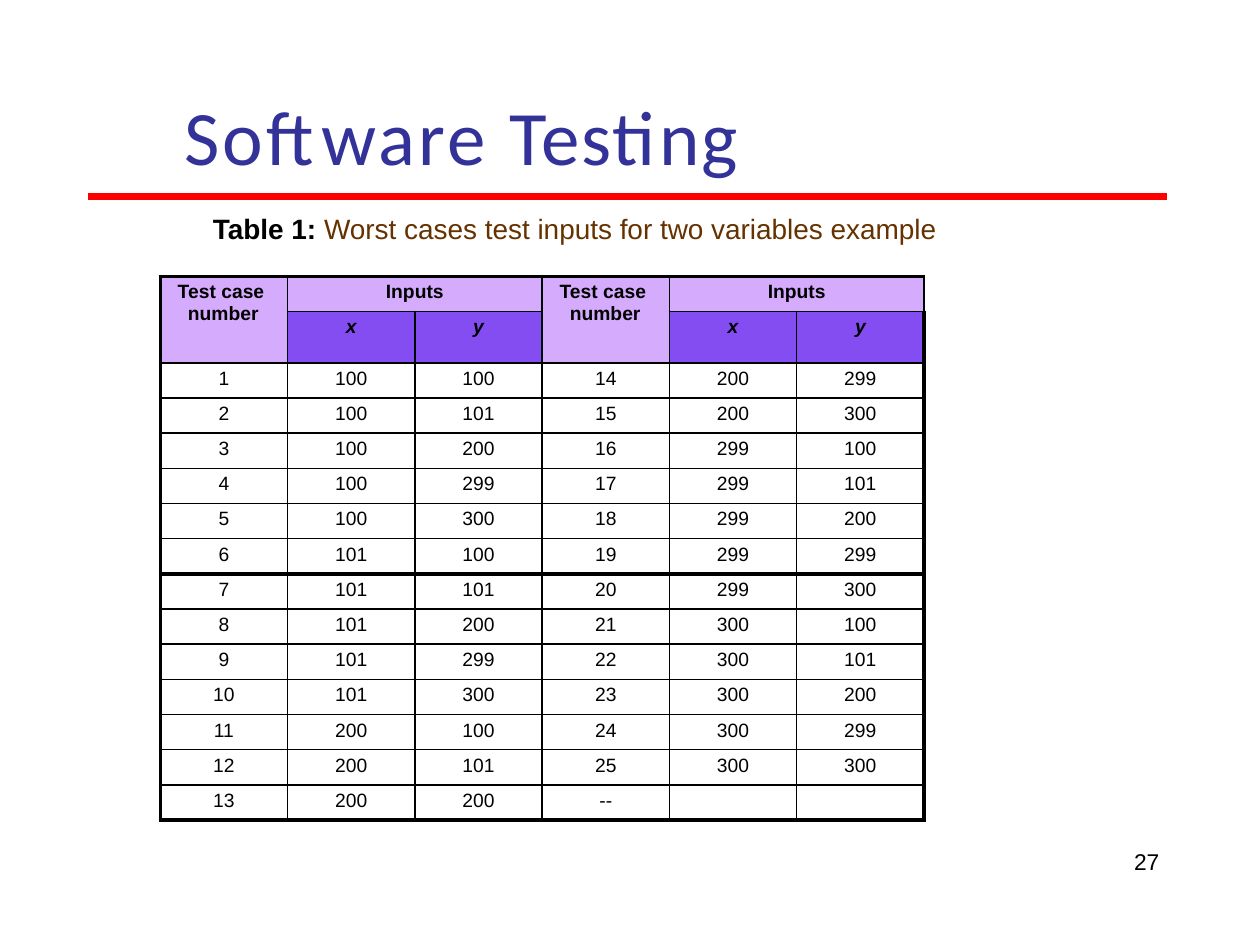
from itertools import product

from lxml.etree import SubElement
from pptx import Presentation
from pptx.dml.color import RGBColor
from pptx.enum.shapes import MSO_CONNECTOR as CONN
from pptx.enum.text import MSO_ANCHOR as ANCHOR, MSO_AUTO_SIZE as AUTO, PP_ALIGN as ALIGN
from pptx.oxml.ns import qn
from pptx.util import Pt

BLACK, LILAC, VIOLET = "000000", "D5ACFD", "834DF1"
LEVELS = (100, 101, 200, 299, 300)
HEADER_ROWS, ROWS, COLS, BLOCK = 2, 15, 6, 3
CELL_FONT = dict(name="Arial", size=Pt(11), bold=False)
HEAD_FONT = dict(CELL_FONT, bold=True)


def rgb(value):
    return RGBColor.from_string(value)


def set_attrs(obj, values):
    for name, value in values.items():
        setattr(obj, name, value)


def add_run(p, text, color, fmt, spacing=0):
    r = p.add_run()
    r.text = text
    set_attrs(r.font, fmt)
    r.font.color.rgb = rgb(color)
    if spacing:
        r._r.get_or_add_rPr().set("spc", str(spacing))


def set_frame(tf, top=0, anchor=ANCHOR.TOP):
    set_attrs(tf, dict(margin_left=0, margin_right=0, margin_top=Pt(top), margin_bottom=0,
                       word_wrap=True, auto_size=AUTO.SHAPE_TO_FIT_TEXT,
                       vertical_anchor=anchor))
    return tf.paragraphs[0]


def add_title(s, left, top, width, height):
    sp = s.shapes.title
    set_attrs(sp, dict(left=Pt(left), top=Pt(top), width=Pt(width), height=Pt(height)))
    p = set_frame(sp.text_frame, 0.7, ANCHOR.MIDDLE)
    p.alignment = ALIGN.CENTER
    fmt = dict(name="Calibri", size=Pt(44))
    add_run(p, "Software ", "323299", fmt, 170)
    add_run(p, "Testing", "323299", fmt, 90)


def add_rule(s, left, top, width):
    line = s.shapes.add_connector(CONN.STRAIGHT, Pt(left), Pt(top), Pt(left + width), Pt(top))
    line.line.color.rgb = rgb("FF0000")
    line.line.width = Pt(4.5)
    SubElement(line._element.spPr, qn("a:effectLst"))


def add_caption(s, left, top, width, height):
    sp = s.shapes.add_textbox(Pt(left), Pt(top), Pt(width), Pt(height))
    p = set_frame(sp.text_frame, 0.7)
    fmt = dict(name="Arial", size=Pt(16))
    add_run(p, "Table 1: ", BLACK, dict(fmt, bold=True))
    add_run(p, "Worst cases test inputs for two variables example", "653200", fmt)


def add_page_number(s, left, top, width, height):
    sp = s.shapes.add_textbox(Pt(left), Pt(top), Pt(width), Pt(height))
    p = set_frame(sp.text_frame)
    p.line_spacing = Pt(13.2)
    add_run(p, "27", BLACK, dict(name="Arial", size=Pt(13)))


def set_borders(cell, row, col):
    last_six = HEADER_ROWS + 5
    widths = dict(
        lnL=2.25 if col == 0 else 1,
        lnR=2.25 if col == COLS - 1 else 1,
        lnT=2.25 if row == 0 else 3 if row == last_six + 1 else 1,
        lnB=2.25 if row == ROWS - 1 else 3 if row == last_six else 1)
    tcPr = cell._tc.get_or_add_tcPr()
    for tag, width in widths.items():
        ln = SubElement(tcPr, qn(f"a:{tag}"), w=str(Pt(width)))
        SubElement(SubElement(ln, qn("a:solidFill")), qn("a:srgbClr"), val=BLACK)


def fill_cell(cell, text, fmt=CELL_FONT, fill=None):
    set_attrs(cell, dict(margin_left=0, margin_right=0, margin_top=Pt(2.9), margin_bottom=0))
    if fill:
        cell.fill.solid()
        cell.fill.fore_color.rgb = rgb(fill)
    p = cell.text_frame.paragraphs[0]
    p.alignment = ALIGN.CENTER
    set_attrs(p.font, fmt)
    if text:
        add_run(p, text, BLACK, fmt)
    return p


def add_header(table, col):
    table.cell(0, col).merge(table.cell(1, col))
    table.cell(0, col + 1).merge(table.cell(0, col + 2))
    p = fill_cell(table.cell(0, col), "Test case number", HEAD_FONT, LILAC)
    p.alignment = ALIGN.LEFT
    pPr = p._p.get_or_add_pPr()
    pPr.set("marL", str(Pt(15.8)))
    pPr.set("indent", str(Pt(-5.8)))
    fill_cell(table.cell(0, col + 1), "Inputs", HEAD_FONT, LILAC)
    for i, name in enumerate("xy", 1):
        fill_cell(table.cell(1, col + i), name, dict(HEAD_FONT, italic=True), VIOLET)


def add_cases_table(s, left, top, width, height):
    table = s.shapes.add_table(ROWS, COLS, Pt(left), Pt(top), Pt(width), Pt(height)).table
    table.first_row = table.horz_banding = False
    for row, col in product(range(ROWS), range(COLS)):
        cell = table.cell(row, col)
        set_borders(cell, row, col)
        cell.fill.background()
    for col in range(0, COLS, BLOCK):
        add_header(table, col)
    cases = [(n, x, y) for n, (x, y) in enumerate(product(LEVELS, repeat=2), 1)]
    cases.append(("--", "", ""))
    for i, case in enumerate(cases):
        block, row = divmod(i, ROWS - HEADER_ROWS)
        for j, value in enumerate(case):
            fill_cell(table.cell(HEADER_ROWS + row, block * BLOCK + j), str(value))


def main():
    prs = Presentation()
    prs.slide_width, prs.slide_height = Pt(720), Pt(540)
    s = prs.slides.add_slide(prs.slide_layouts[5])
    add_title(s, 56.2, 49.7, 414.7, 54)
    add_rule(s, 50.4, 112.3, 616.3)
    add_cases_table(s, 91.6, 157.9, 436.5, 301.5)
    add_page_number(s, 648, 486.7, 18, 13)
    add_caption(s, 121.7, 120.2, 427, 20.2)
    prs.save("out.pptx")


if __name__ == "__main__":
    main()
